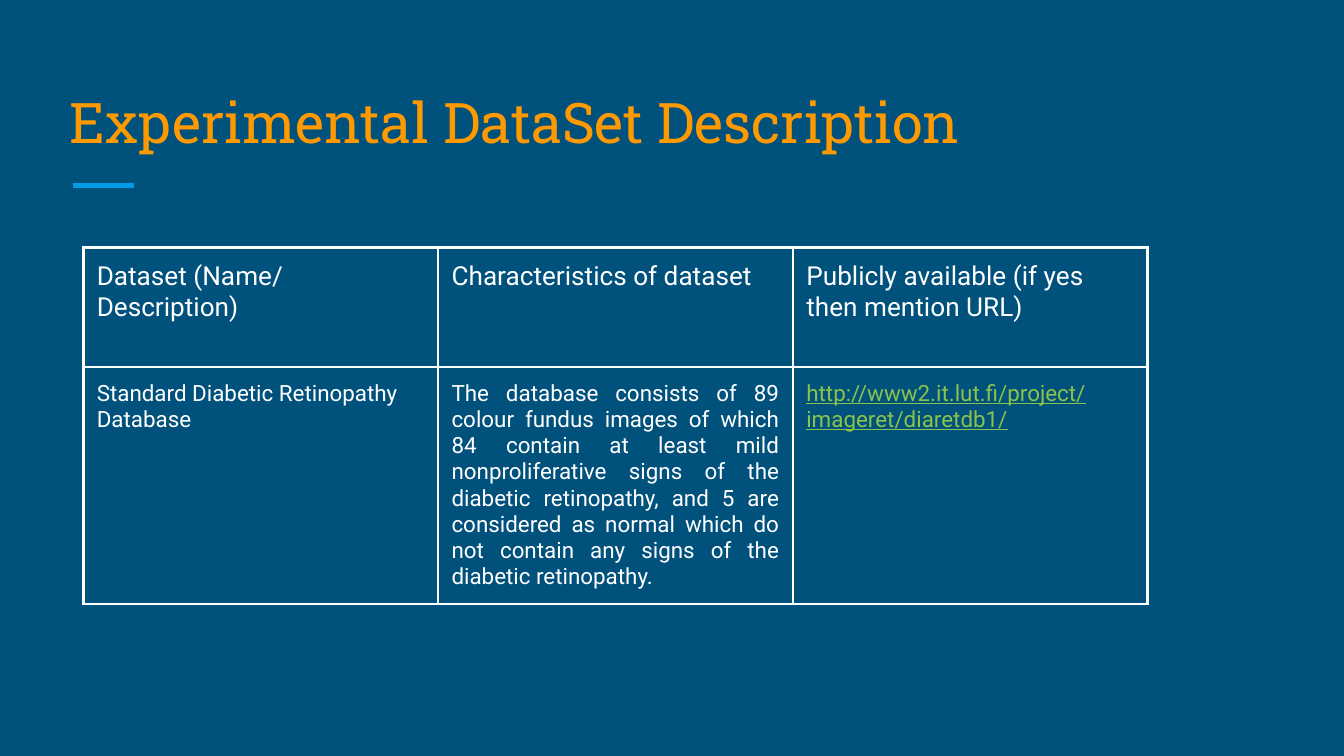
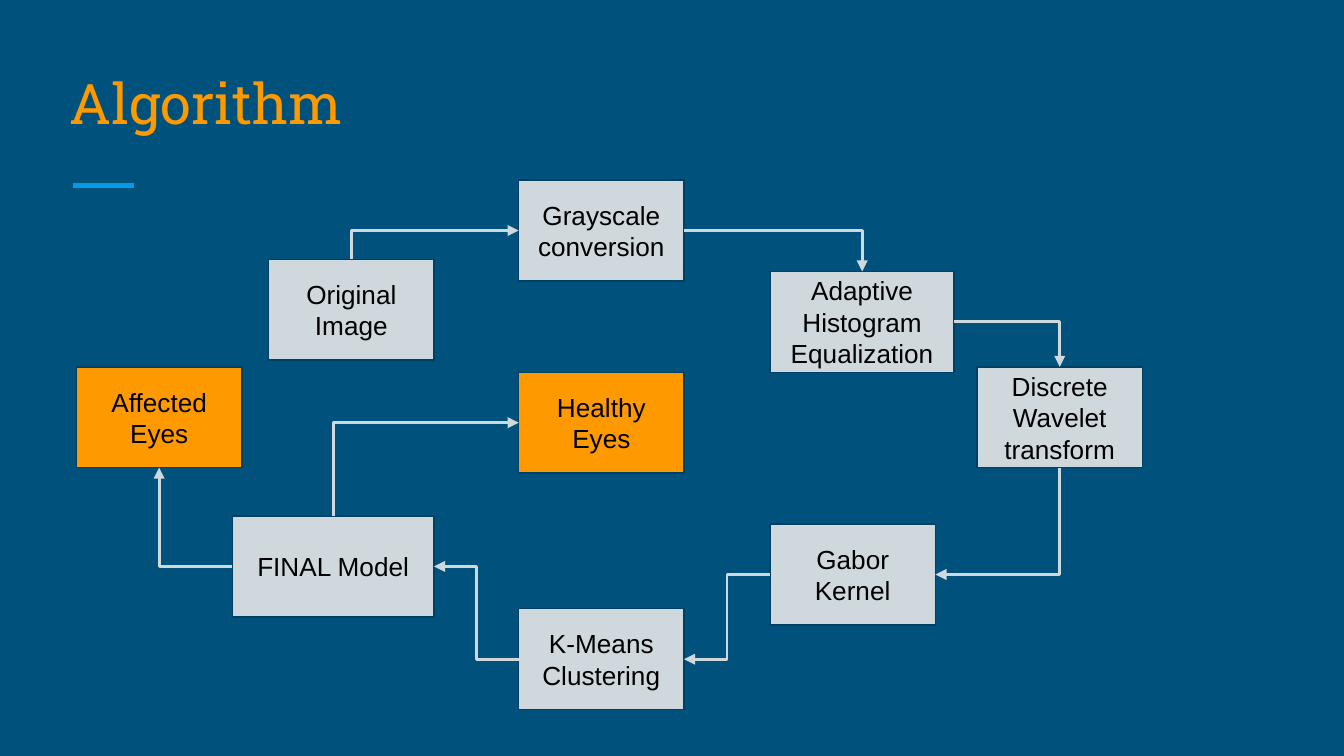
from dataclasses import dataclass

from lxml import etree
from pptx import Presentation
from pptx import util as u
from pptx.dml.color import RGBColor
from pptx.enum import shapes, text
from pptx.oxml import ns
from pptx.shapes.autoshape import Shape
from pptx.shapes.connector import Connector
from pptx.slide import Slide
from pptx.table import _Cell as Cell

COLOURS = {
    "background": "00517C",
    "accent": "039BE5",
    "title": "FF9900",
    "step": "CFD8DC",
    "outcome": "FF9900",
    "outline": "004065",
    "white": "FFFFFF",
    "black": "000000",
    "url": "8BC34A",
}
SLIDE_WIDTH = u.Inches(10)
SLIDE_HEIGHT = u.Inches(10 * 9 / 16)
INSET = u.Inches(0.1)
BOX_WIDTH = 1.23
BOX_HEIGHT = 0.75
TOP, LEFT, BOTTOM, RIGHT = range(4)
JUSTIFY = text.PP_ALIGN.JUSTIFY


@dataclass(frozen=True)
class Box:
    label: str
    left: float
    top: float
    width: float = BOX_WIDTH
    fill: str = "step"


@dataclass(frozen=True)
class Arrow:
    start: str
    start_side: int
    end: str
    end_side: int


@dataclass(frozen=True)
class Entry:
    words: str
    size: int = 12
    colour: str = "white"
    underline: bool = False
    align: text.PP_ALIGN = text.PP_ALIGN.LEFT


DATASET_ROWS = (
    (
        Entry("Dataset (Name/ Description)", 14),
        Entry("Characteristics of dataset", 14),
        Entry("Publicly available (if yes then mention URL)", 14),
    ),
    (
        Entry("Standard Diabetic Retinopathy Database"),
        Entry(
            "The database consists of 89 colour fundus images of which 84 contain "
            "at least mild nonproliferative signs of the diabetic retinopathy, and "
            "5 are considered as normal which do not contain any signs of the "
            "diabetic retinopathy.",
            align=JUSTIFY,
        ),
        Entry("http://www2.it.lut.fi/project/imageret/diaretdb1/", colour="url", underline=True),
    ),
)
COLUMN_WIDTH = 2.64
ROW_HEIGHTS = (0.89, 1.65)

BOXES = (
    Box("Original Image", 2, 1.93),
    Box("Affected Eyes", 0.57, 2.73, fill="outcome"),
    Box("Discrete Wavelet transform", 7.27, 2.73),
    Box("FINAL Model", 1.73, 3.84, width=1.5),
    Box("K-Means Clustering", 3.86, 4.53),
    Box("Grayscale conversion", 3.86, 1.34),
    Box("Healthy Eyes", 3.86, 2.77, fill="outcome"),
    Box("Gabor Kernel", 5.73, 3.9),
    Box("Adaptive Histogram Equalization", 5.73, 2.02, width=1.37),
)
ARROWS = (
    Arrow("Original Image", TOP, "Grayscale conversion", LEFT),
    Arrow("Grayscale conversion", RIGHT, "Adaptive Histogram Equalization", TOP),
    Arrow("Adaptive Histogram Equalization", RIGHT, "Discrete Wavelet transform", TOP),
    Arrow("Discrete Wavelet transform", BOTTOM, "Gabor Kernel", RIGHT),
    Arrow("Gabor Kernel", LEFT, "K-Means Clustering", RIGHT),
    Arrow("K-Means Clustering", LEFT, "FINAL Model", RIGHT),
    Arrow("FINAL Model", LEFT, "Affected Eyes", BOTTOM),
    Arrow("FINAL Model", TOP, "Healthy Eyes", LEFT),
)


def rgb(name: str) -> RGBColor:
    return RGBColor.from_string(COLOURS[name])


def set_text(frame, words: str, font: str, size: int, colour: str, align: text.PP_ALIGN) -> None:
    frame.text = words
    frame.word_wrap = True
    para = frame.paragraphs[0]
    para.alignment = align
    for span in para.runs:
        span.font.name = font
        span.font.size = u.Pt(size)
        span.font.color.rgb = rgb(colour)


def style_line(connector: Connector, colour: str, points: float) -> None:
    connector.line.color.rgb = rgb(colour)
    connector.line.width = u.Pt(points)
    etree.SubElement(connector._element.spPr, ns.qn("a:effectLst"))


def add_titled_slide(deck, words: str, top: float, width: float) -> Slide:
    page = deck.slides.add_slide(deck.slide_layouts.get_by_name("Title Only"))
    rule = page.shapes.add_connector(
        shapes.MSO_CONNECTOR.STRAIGHT,
        u.Inches(0.54), u.Inches(1.38), u.Inches(1), u.Inches(1.38),
    )
    style_line(rule, "accent", 3)
    title = page.shapes.title
    title.left, title.top = u.Inches(0.42), u.Inches(top)
    title.width, title.height = u.Inches(width), u.Inches(0.75)
    frame = title.text_frame
    set_text(frame, words, "Roboto Slab", 30, "title", text.PP_ALIGN.LEFT)
    frame.auto_size = text.MSO_AUTO_SIZE.NONE
    frame.vertical_anchor = text.MSO_ANCHOR.BOTTOM
    frame.margin_left = frame.margin_right = INSET
    frame.margin_top = frame.margin_bottom = INSET
    return page


def add_borders(cell: Cell) -> None:
    properties = cell._tc.get_or_add_tcPr()
    for index, side in enumerate(("lnL", "lnR", "lnT", "lnB")):
        border = etree.Element(ns.qn(f"a:{side}"), w=str(u.Pt(1.5)))
        fill = etree.SubElement(border, ns.qn("a:solidFill"))
        etree.SubElement(fill, ns.qn("a:srgbClr"), val=COLOURS["white"])
        properties.insert(index, border)


def fill_cell(cell: Cell, entry: Entry) -> None:
    set_text(cell.text_frame, entry.words, "Roboto", entry.size, entry.colour, entry.align)
    if entry.underline:
        cell.text_frame.paragraphs[0].runs[0].font.underline = True
    cell.margin_left = cell.margin_right = INSET
    cell.margin_top = cell.margin_bottom = INSET
    cell.fill.background()
    add_borders(cell)


def add_dataset_table(page: Slide) -> None:
    columns = len(DATASET_ROWS[0])
    table = page.shapes.add_table(
        len(DATASET_ROWS), columns, u.Inches(0.62), u.Inches(1.84),
        u.Inches(columns * COLUMN_WIDTH), u.Inches(sum(ROW_HEIGHTS)),
    ).table
    table.first_row = table.horz_banding = False
    for column in table.columns:
        column.width = u.Inches(COLUMN_WIDTH)
    for row, height, entries in zip(table.rows, ROW_HEIGHTS, DATASET_ROWS):
        row.height = u.Inches(height)
        for cell, entry in zip(row.cells, entries):
            fill_cell(cell, entry)


def add_box(page: Slide, box: Box) -> Shape:
    shape = page.shapes.add_shape(
        shapes.MSO_SHAPE.RECTANGLE,
        u.Inches(box.left), u.Inches(box.top), u.Inches(box.width), u.Inches(BOX_HEIGHT),
    )
    shape.shadow.inherit = False
    shape.fill.solid()
    shape.fill.fore_color.rgb = rgb(box.fill)
    shape.line.color.rgb = rgb("outline")
    shape.line.width = u.Pt(0.75)
    frame = shape.text_frame
    set_text(frame, box.label, "Arial", 14, "black", text.PP_ALIGN.CENTER)
    frame.vertical_anchor = text.MSO_ANCHOR.MIDDLE
    frame.margin_left = frame.margin_right = INSET
    frame.margin_top = frame.margin_bottom = INSET
    return shape


def side_point(shape: Shape, side: int) -> tuple[int, int]:
    middle_x = shape.left + shape.width // 2
    middle_y = shape.top + shape.height // 2
    return {
        TOP: (middle_x, shape.top),
        LEFT: (shape.left, middle_y),
        BOTTOM: (middle_x, shape.top + shape.height),
        RIGHT: (shape.left + shape.width, middle_y),
    }[side]


def turn_upright(connector: Connector, downward: bool) -> None:
    width, height = connector.width, connector.height
    connector.left += (width - height) // 2
    connector.top += (height - width) // 2
    connector.width, connector.height = height, width
    frame = connector._element.spPr.xfrm
    frame.flipH = frame.flipV = False
    frame.set("rot", str((90 if downward else 270) * 60000))


def add_arrow(page: Slide, arrow: Arrow, drawn: dict[str, Shape]) -> None:
    start, end = drawn[arrow.start], drawn[arrow.end]
    start_point = side_point(start, arrow.start_side)
    end_point = side_point(end, arrow.end_side)
    connector = page.shapes.add_connector(shapes.MSO_CONNECTOR.ELBOW, *start_point, *end_point)
    connector.begin_connect(start, arrow.start_side)
    connector.end_connect(end, arrow.end_side)
    upright_start = arrow.start_side in (TOP, BOTTOM)
    if upright_start != (arrow.end_side in (TOP, BOTTOM)):
        connector._element.spPr.find(ns.qn("a:prstGeom")).set("prst", "bentConnector2")
    if upright_start:
        turn_upright(connector, end_point[1] > start_point[1])
    style_line(connector, "step", 1.5)
    line = connector.line._get_or_add_ln()
    etree.SubElement(line, ns.qn("a:tailEnd"), type="triangle")


def main() -> None:
    deck = Presentation()
    deck.slide_width, deck.slide_height = SLIDE_WIDTH, SLIDE_HEIGHT
    background = deck.slide_master.background.fill
    background.solid()
    background.fore_color.rgb = rgb("background")

    dataset_page = add_titled_slide(deck, "Experimental DataSet Description", 0.5, 8.47)
    add_dataset_table(dataset_page)

    algorithm_page = add_titled_slide(deck, "Algorithm", 0.36, 9.15)
    drawn = {box.label: add_box(algorithm_page, box) for box in BOXES}
    for arrow in ARROWS:
        add_arrow(algorithm_page, arrow, drawn)

    deck.save("out.pptx")


if __name__ == "__main__":
    main()
